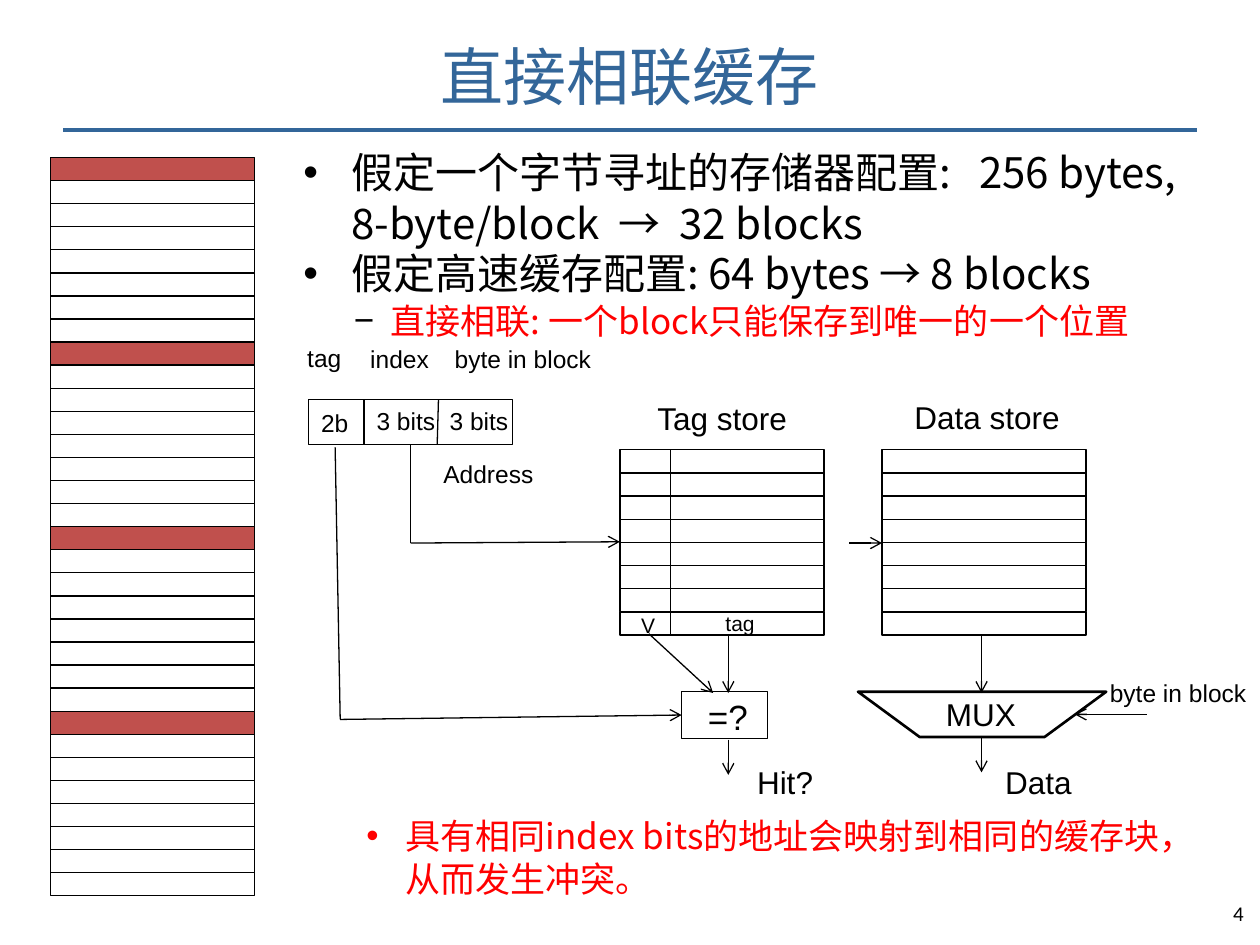
from dataclasses import dataclass

from lxml import etree
from pptx import Presentation
from pptx.dml.color import RGBColor
from pptx.enum.shapes import MSO_CONNECTOR, MSO_SHAPE
from pptx.enum.text import MSO_ANCHOR, MSO_AUTO_SIZE, PP_ALIGN
from pptx.oxml.ns import qn
from pptx.util import Emu, Pt

PX = 9144  # EMU per px, 100 px to the inch
RECT = MSO_SHAPE.RECTANGLE
STRAIGHT = MSO_CONNECTOR.STRAIGHT
LEFT, CENTER, RIGHT = PP_ALIGN.LEFT, PP_ALIGN.CENTER, PP_ALIGN.RIGHT
TOP, MIDDLE = MSO_ANCHOR.TOP, MSO_ANCHOR.MIDDLE
GROW = MSO_AUTO_SIZE.SHAPE_TO_FIT_TEXT
LEFT_SIDE = 1

BLACK, RED, BLUE, BRICK = "000000", "FF0000", "336699", "C0504D"
CJK = "Noto Sans CJK SC"


@dataclass
class Stack:
    left: int
    top: int
    height: int
    rows: int
    marked_every: int = 0


@dataclass
class Label:
    text: str
    left: int
    top: int
    width: int
    height: int
    size: int


@dataclass
class Line:
    x1: int
    y1: int
    x2: int
    y2: int
    arrow: bool = True


@dataclass
class Bullet:
    text: str
    mark: str
    size: int
    spacing: float
    margin: int
    hang: int
    color: str = BLACK
    mark_color: str = BLACK
    level: int = 0


STACKS = [
    Stack(40, 125, 586, 32, marked_every=8),  # main memory
    Stack(492, 357, 147, 8),  # tag store
    Stack(700, 357, 147, 8),  # data store
]
STACK_WIDTH = 162

LABELS = [
    Label("Tag store", 512, 312, 124, 40, 18),
    Label("Data store", 716, 311, 137, 40, 18),
    Label("Address", 342, 359, 92, 34, 14),
    Label("tag", 234, 267, 47, 34, 14),
    Label("index", 284, 268, 67, 34, 14),
    Label("byte in block", 351, 268, 129, 34, 14),
    Label("3 bits", 347, 317, 67, 34, 14),
    Label("3 bits", 289, 317, 67, 34, 14),
    Label("2b", 245, 319, 42, 34, 14),
    Label("V", 499, 481, 31, 30, 12),
    Label("tag", 566, 480, 44, 30, 12),
    Label("=?", 552, 547, 52, 44, 20),
    Label("MUX", 741, 547, 76, 40, 18),
    Label("byte in block", 871, 533, 129, 34, 14),
    Label("Hit?", 591, 601, 65, 40, 18),
    Label("Data", 788, 601, 73, 40, 18),
]

LINES = [
    Line(348, 317, 347, 353, arrow=False),  # address field borders
    Line(289, 317, 289, 353, arrow=False),
    Line(326, 353, 326, 431, arrow=False),  # index to the tag store
    Line(326, 431, 492, 430),
    Line(674, 431, 700, 431),
    Line(532, 357, 532, 504, arrow=False),  # valid bit column
    Line(578, 504, 578, 550),
    Line(515, 503, 566, 550),
    Line(266, 355, 270, 571, arrow=False),  # tag to the comparator
    Line(779, 504, 779, 550),
    Line(910, 567, 853, 567),
    Line(578, 587, 578, 615),
    Line(779, 584, 779, 613),
]

SETUP = [
    Bullet("假定一个字节寻址的存储器配置:   256 bytes, 8-byte/block  →  32 blocks",
           "•", 24, 29, 38, 38),
    Bullet("假定高速缓存配置: 64 bytes → 8 blocks", "•", 24, 29, 38, 38),
    Bullet("直接相联: 一个block只能保存到唯一的一个位置",
           "−", 20, 24.5, 69, 29, RED, level=1),
]
CONFLICT = [
    Bullet("具有相同index bits的地址会映射到相同的缓存块，从而发生冲突。",
           "•", 20, 24.5, 81, 31, RED, RED, level=1),
]


def px(n: float) -> Emu:
    return Emu(round(n * PX))


def rgb(color: str) -> RGBColor:
    return RGBColor.from_string(color)


def write(p, text: str, *, size: int, font: str = "Arial", color: str = BLACK) -> None:
    r = p.add_run()
    r.text = text
    r.font.size = Pt(size)
    r.font.name = font
    r.font.color.rgb = rgb(color)
    ea = etree.SubElement(r.font._element, qn("a:ea"))
    ea.set("typeface", CJK)


def add_box(shapes, left: int, top: int, width: int, height: int, *,
            wrap: bool = True, anchor=TOP):
    tf = shapes.add_textbox(px(left), px(top), px(width), px(height)).text_frame
    tf.word_wrap = wrap
    tf.vertical_anchor = anchor
    return tf


def add_label(shapes, label: Label) -> None:
    tf = add_box(shapes, label.left, label.top, label.width, label.height, wrap=False)
    tf.auto_size = GROW
    write(tf.paragraphs[0], label.text, size=label.size)


def add_bullets(shapes, top: int, height: int, bullets: list[Bullet]) -> None:
    tf = add_box(shapes, 231, top, 728, height)
    for i, b in enumerate(bullets):
        p = tf.add_paragraph() if i else tf.paragraphs[0]
        p.level = b.level
        p.line_spacing = Pt(b.spacing)
        write(p, b.text, size=b.size, font=CJK, color=b.color)
        props = p._p.get_or_add_pPr()
        props.set("marL", str(px(b.margin)))
        props.set("indent", str(px(-b.hang)))
        mark_color = etree.SubElement(props, qn("a:buClr"))
        etree.SubElement(mark_color, qn("a:srgbClr")).set("val", b.mark_color)
        etree.SubElement(props, qn("a:buFont")).set("typeface", "Arial")
        etree.SubElement(props, qn("a:buChar")).set("char", b.mark)


def outline(sp, fill: str = "", width: float = 0.75) -> None:
    sp.shadow.inherit = False
    if fill:
        sp.fill.solid()
        sp.fill.fore_color.rgb = rgb(fill)
    else:
        sp.fill.background()
    sp.line.color.rgb = rgb(BLACK)
    sp.line.width = Pt(width)


def add_rect(shapes, left: float, top: float, width: float, height: float, fill: str = ""):
    sp = shapes.add_shape(RECT, px(left), px(top), px(width), px(height))
    outline(sp, fill)
    return sp


def add_stack(shapes, stack: Stack) -> None:
    group = shapes.add_group_shape()
    row = stack.height / stack.rows
    for i in range(stack.rows):
        marked = stack.marked_every and i % stack.marked_every == 0
        add_rect(group.shapes, stack.left, stack.top + i * row, STACK_WIDTH, row,
                 BRICK if marked else "")


def add_line(shapes, line: Line, color: str = BLACK, width: float = 0.75):
    cn = shapes.add_connector(STRAIGHT, px(line.x1), px(line.y1), px(line.x2), px(line.y2))
    cn.line.color.rgb = rgb(color)
    cn.line.width = Pt(width)
    if line.arrow:
        etree.SubElement(cn.line._get_or_add_ln(), qn("a:tailEnd")).set("type", "arrow")
    etree.SubElement(cn._element.spPr, qn("a:effectLst"))
    return cn


def main() -> None:
    prs = Presentation()
    prs.slide_width, prs.slide_height = px(1000), px(750)
    shapes = prs.slides.add_slide(prs.slide_layouts[6]).shapes

    add_line(shapes, Line(50, 103, 950, 103, arrow=False), BLUE, 2)
    p = add_box(shapes, 0, 17, 1000, 86, anchor=MIDDLE).paragraphs[0]
    p.alignment = CENTER
    write(p, "直接相联缓存", size=36, font="Cabin", color=BLUE)
    add_bullets(shapes, 111, 165, SETUP)
    add_bullets(shapes, 641, 80, CONFLICT)

    for stack in STACKS:
        add_stack(shapes, stack)
    add_rect(shapes, 245, 317, 162, 36)
    comparator = add_rect(shapes, 541, 549, 68, 37)
    mux = shapes.build_freeform(878, 549, scale=PX)
    mux.add_line_segments([(829, 585), (730, 585), (681, 549)], close=True)
    outline(mux.convert_to_shape(), width=1.5)

    for line in LINES:
        add_line(shapes, line)
    add_line(shapes, Line(270, 571, 541, 568)).end_connect(comparator, LEFT_SIDE)
    for label in LABELS:
        add_label(shapes, label)

    p = add_box(shapes, 950, 710, 47, 23).paragraphs[0]
    p.alignment = RIGHT
    write(p, "4", size=12, font="Calibri")

    prs.save("out.pptx")


if __name__ == "__main__":
    main()
